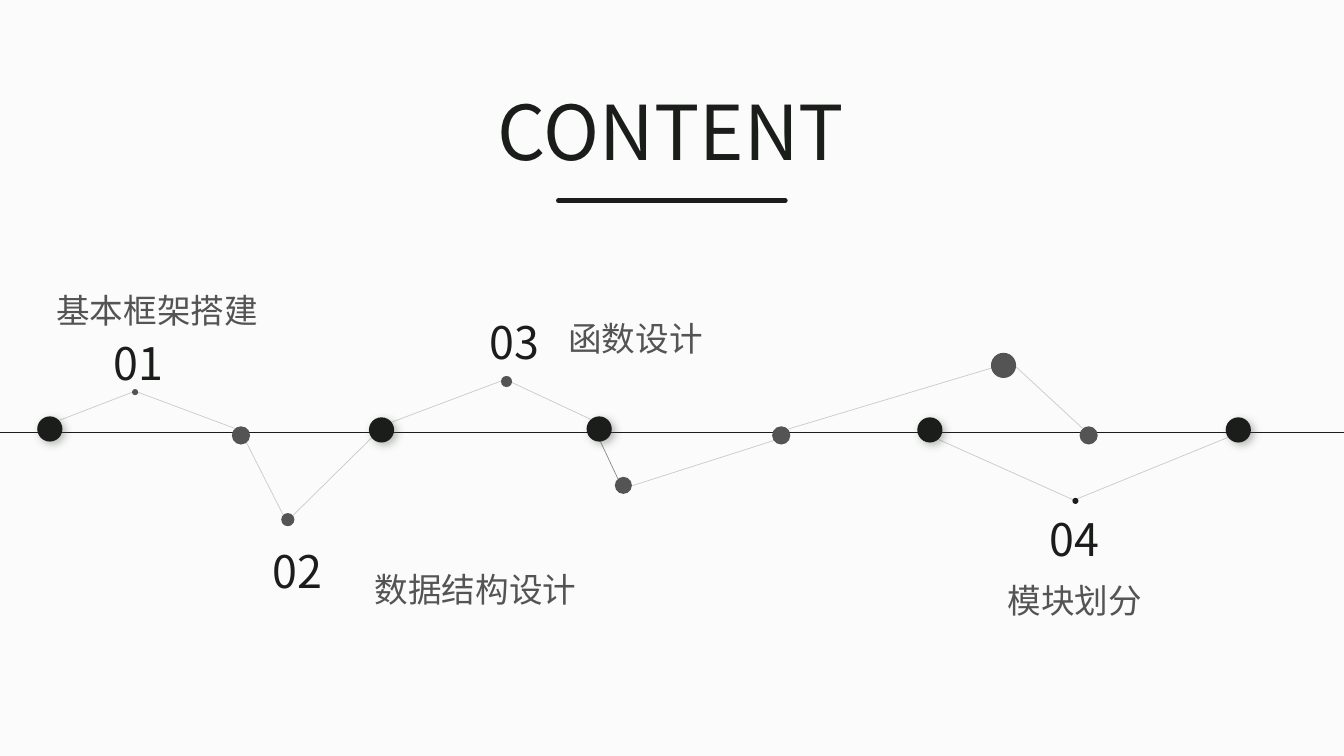
"""Build the CONTENT agenda slide with its zigzag timeline."""
from typing import NamedTuple

from lxml.etree import SubElement
from pptx import Presentation
from pptx.dml.color import RGBColor
from pptx.enum.shapes import MSO_CONNECTOR, MSO_SHAPE
from pptx.enum.text import MSO_ANCHOR, MSO_AUTO_SIZE, PP_ALIGN
from pptx.oxml.ns import qn
from pptx.slide import Slide
from pptx.text.text import TextFrame
from pptx.util import Pt

FONT = "Noto Sans CJK SC"
INK, GREY, PAPER, SHADOW = "1A1D1A", "545454", "FBFBFB", "505950"
LARGE, MEDIUM, TINY = 18, 13, 4.3
NUMBER_WIDTH, NUMBER_HEIGHT, LABEL_HEIGHT = 139, 46, 36


class Dot(NamedTuple):
    x: float
    y: float
    diameter: float
    color: str = GREY
    shadowed: bool = False


class Link(NamedTuple):
    x1: float
    y1: float
    x2: float
    y2: float
    opacity: int = 21
    width: float = 0.5
    cap: str = "flat"


class Topic(NamedTuple):
    number: str
    number_left: float
    number_top: float
    label: str
    label_left: float
    label_top: float
    label_width: float
    wrap: bool = False


RULES = [
    Link(398.9, 143.3, 560.9, 143.3, 100, 3.5, "rnd"),
    Link(0, 308.9, 960, 308.9, 100, 0.75),
]
AXIS_DOTS = [Dot(x, 311, MEDIUM) for x in (172.1, 558, 777.6)] + [
    Dot(x, y, LARGE, INK, True)
    for x, y in ((35.6, 306.4), (272.5, 307.1), (428, 306.4), (664.2, 307.1), (884.5, 307.1))
]
LINKS = [
    Link(42.5, 300.2, 96.5, 279.4),
    Link(96.5, 279.4, 167.8, 306),
    Link(175.7, 315.4, 202.3, 367.9),
    Link(208.8, 368.6, 265.7, 312.5),
    Link(279.4, 301.7, 357.8, 272.2),
    Link(421.9, 299.5, 365, 272.9),
    Link(425.5, 308.2, 441.4, 342, 51),
    Link(553, 314.6, 451.4, 347),
    Link(708.5, 262.8, 562.3, 306.7),
    Link(773.3, 306, 725.8, 262.1),
    Link(766.8, 357.1, 670.3, 313.9),
    Link(877, 312.5, 767.5, 357.1),
]
PEAK_DOTS = [
    Dot(205.6, 371.2, 9.4),
    Dot(361.8, 272.5, 7.9),
    Dot(445.3, 346.7, 12.2),
    Dot(716.8, 261, LARGE),
    Dot(96.5, 280.1, TINY),
    Dot(768.2, 357.8, TINY, INK),
]
TOPICS = [
    Topic("01", 29.5, 236.2, "基本框架搭建", 33.1, 203.8, 260.6, True),
    Topic("02", 143.3, 384.5, "数据结构设计", 260.6, 402.5, 158.4),
    Topic("03", 298.1, 221, "函数设计", 398.9, 223.2, 110.2),
    Topic("04", 697.7, 362.2, "模块划分", 712.8, 410.4, 110.2),
]


def rgb(color: str) -> RGBColor:
    """Turn a hex string into a colour."""
    return RGBColor.from_string(color)


def add_dot(page: Slide, dot: Dot) -> None:
    """Draw a circle around its centre."""
    radius = dot.diameter / 2
    circle = page.shapes.add_shape(
        MSO_SHAPE.OVAL, Pt(dot.x - radius), Pt(dot.y - radius), Pt(dot.diameter), Pt(dot.diameter)
    )
    circle.shadow.inherit = False
    circle.fill.solid()
    circle.fill.fore_color.rgb = rgb(dot.color)
    circle.line.fill.background()
    if dot.shadowed:
        effects = circle._element.spPr.find(qn("a:effectLst"))
        shadow = SubElement(
            effects, qn("a:outerShdw"), blurRad=str(Pt(6)), dist=str(Pt(3)),
            dir="2700000", algn="tl", rotWithShape="0",
        )
        tint = SubElement(shadow, qn("a:srgbClr"), val=SHADOW)
        SubElement(tint, qn("a:alpha"), val="40000")


def add_link(page: Slide, link: Link) -> None:
    """Draw a straight line, see-through if its opacity is below 100."""
    connector = page.shapes.add_connector(
        MSO_CONNECTOR.STRAIGHT, Pt(link.x1), Pt(link.y1), Pt(link.x2), Pt(link.y2)
    )
    connector.line.width = Pt(link.width)
    connector.line.color.rgb = rgb(INK)
    properties = connector._element.spPr
    outline = properties.find(qn("a:ln"))
    outline.set("cap", link.cap)
    if link.opacity < 100:
        tint = outline.find(".//" + qn("a:srgbClr"))
        SubElement(tint, qn("a:alpha"), val=str(link.opacity * 1000))
    SubElement(properties, qn("a:effectLst"))


def write(frame: TextFrame, text: str, size: float, color: str,
          align: PP_ALIGN = PP_ALIGN.LEFT, wrap: bool = False) -> None:
    """Fill a text frame with one formatted paragraph."""
    frame.text = text
    frame.word_wrap = wrap
    frame.auto_size = MSO_AUTO_SIZE.SHAPE_TO_FIT_TEXT
    frame.vertical_anchor = MSO_ANCHOR.TOP
    para = frame.paragraphs[0]
    para.alignment = align
    para.font.size = Pt(size)
    para.font.color.rgb = rgb(color)
    para.font.name = FONT
    SubElement(para.font._element, qn("a:ea"), typeface=FONT)


def add_topic(page: Slide, topic: Topic) -> None:
    """Place a topic's number and label."""
    number = page.shapes.add_textbox(
        Pt(topic.number_left), Pt(topic.number_top), Pt(NUMBER_WIDTH), Pt(NUMBER_HEIGHT)
    )
    write(number.text_frame, topic.number, 32, INK, PP_ALIGN.CENTER, True)
    label = page.shapes.add_textbox(
        Pt(topic.label_left), Pt(topic.label_top), Pt(topic.label_width), Pt(LABEL_HEIGHT)
    )
    write(label.text_frame, topic.label, 24, GREY, wrap=topic.wrap)


def main() -> None:
    """Build and save the deck."""
    deck = Presentation()
    deck.slide_width, deck.slide_height = Pt(960), Pt(540)
    page = deck.slides.add_slide(deck.slide_layouts[5])
    page.background.fill.solid()
    page.background.fill.fore_color.rgb = rgb(PAPER)

    title = page.shapes.title
    title.left, title.top, title.width, title.height = Pt(348.5), Pt(56.9), Pt(262.8), Pt(72.7)
    write(title.text_frame, "CONTENT", 54, INK)

    for rule in RULES:
        add_link(page, rule)
    for dot in AXIS_DOTS:
        add_dot(page, dot)
    for link in LINKS:
        add_link(page, link)
    for dot in PEAK_DOTS:
        add_dot(page, dot)
    for topic in TOPICS:
        add_topic(page, topic)
    deck.save("out.pptx")


if __name__ == "__main__":
    main()
